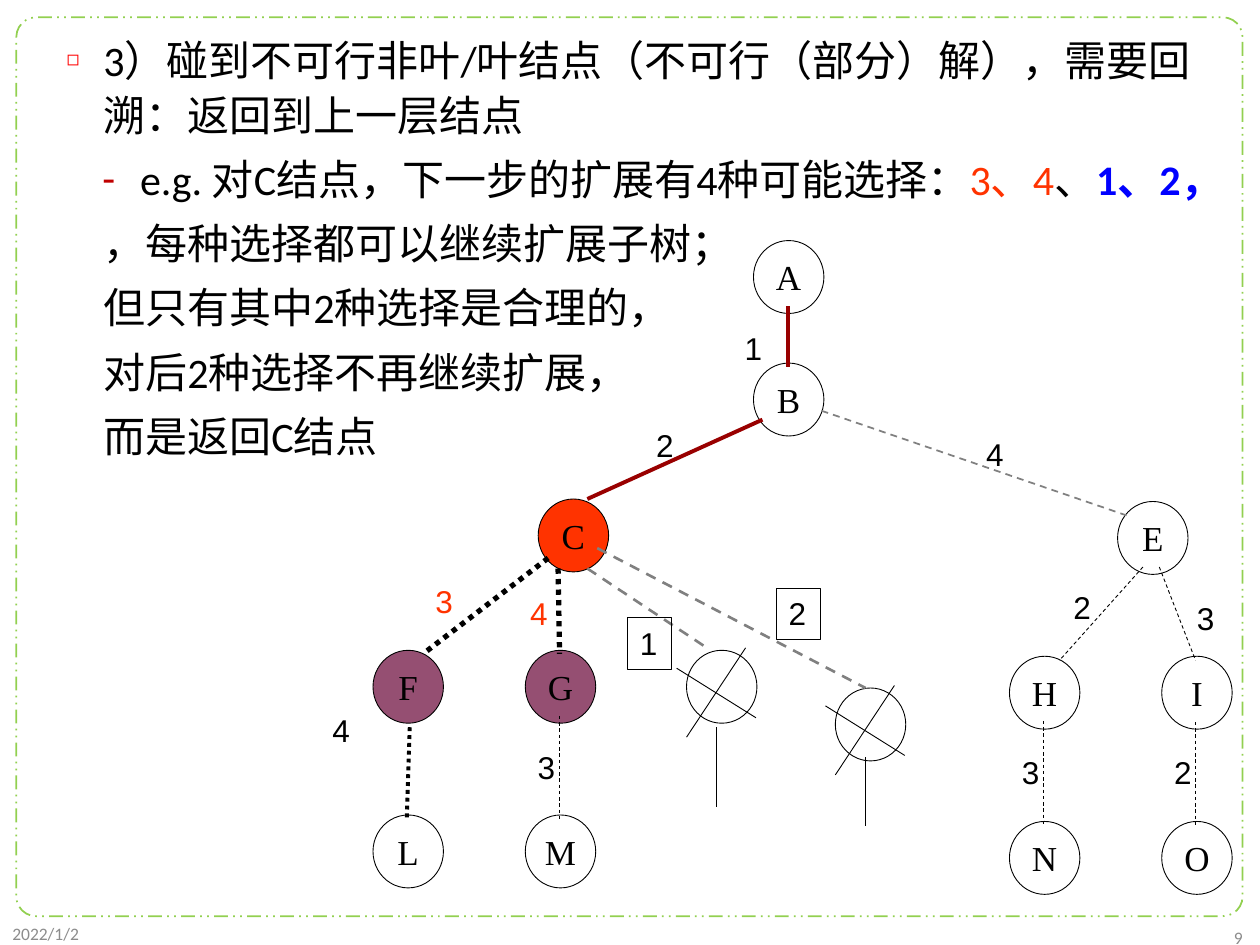
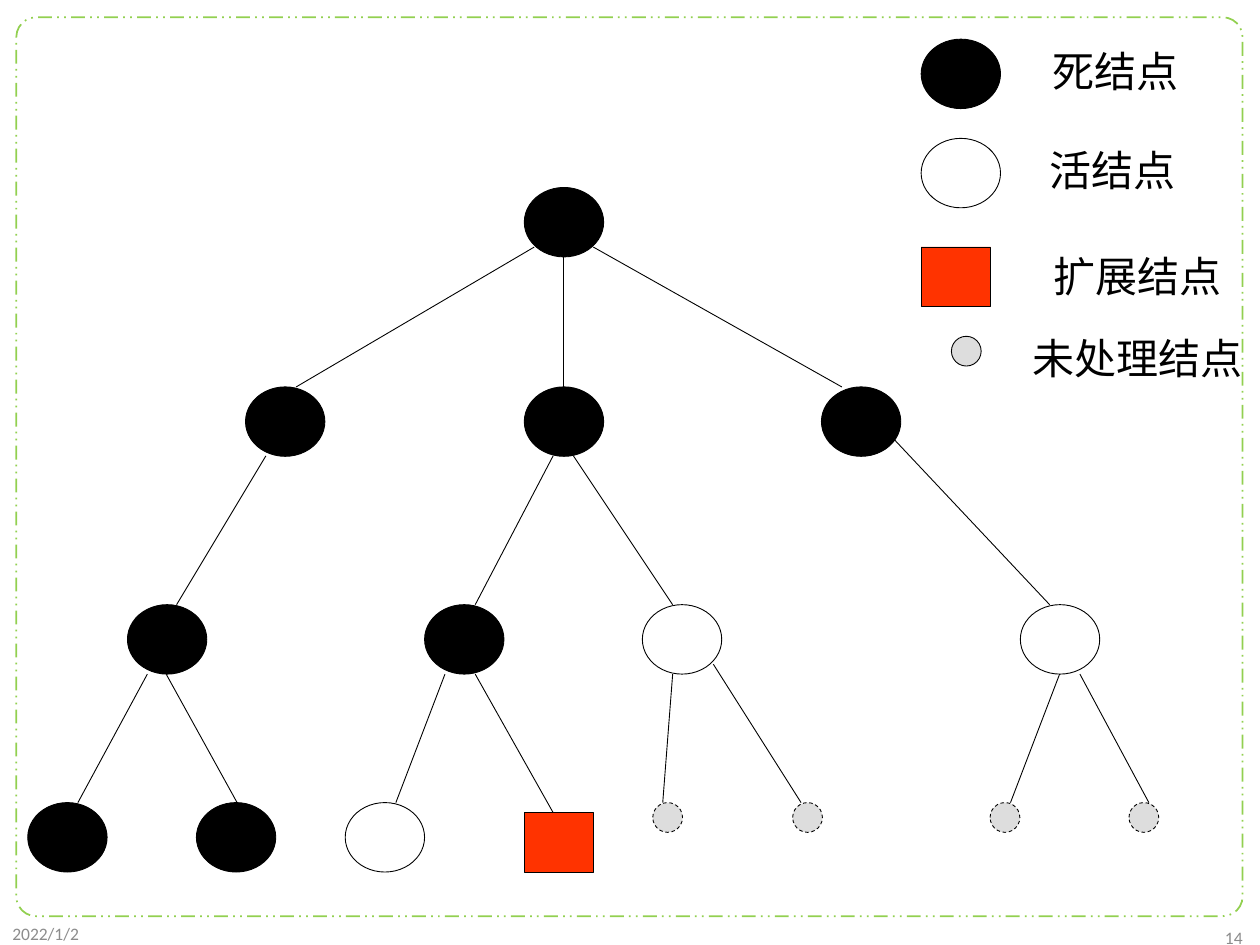
from dataclasses import dataclass

from lxml.etree import SubElement
from pptx import Presentation
from pptx.dml.color import RGBColor
from pptx.enum.dml import MSO_LINE
from pptx.enum.shapes import MSO_CONNECTOR, MSO_SHAPE
from pptx.enum.text import MSO_ANCHOR, MSO_AUTO_SIZE, PP_ALIGN
from pptx.oxml.ns import qn
from pptx.util import Cm, Pt


@dataclass(frozen=True)
class Theme:
    """Colours, fonts and type sizes shared by the slides."""
    ink: str = "000000"
    frame: str = "92D050"
    footer: str = "8C8C8C"
    square_bullet: str = "FF0000"
    dash_bullet: str = "C00000"
    accent: str = "FF3300"
    pruned_choice: str = "0000FF"
    trail: str = "990000"
    expanded: str = "954F72"
    idle: str = "808080"
    pending: str = "DDDDDD"
    body_font: str = "Calibri"
    label_font: str = "Arial"
    node_font: str = "Times New Roman"
    cjk_font: str = "Noto Sans CJK SC"
    body_size: float = 24
    node_size: float = 20
    label_size: float = 18
    footer_size: float = 10
    hairline: float = 0.5


@dataclass(frozen=True)
class Box:
    """A rectangle in centimetres."""
    left: float
    top: float
    width: float
    height: float

    def inside(self, left, top, width=0, height=0):
        """Return a box whose place is given relative to this one."""
        return Box(self.left + left, self.top + top, width, height)

    def lengths(self):
        """Return the four sides as lengths."""
        return [Cm(value) for value in (self.left, self.top, self.width, self.height)]


THEME = Theme()
SOLID, DASH, DOT = None, MSO_LINE.DASH, MSO_LINE.ROUND_DOT
DATE = "2022/1/2"


def add_span(para, text, font=THEME.body_font, size=THEME.body_size,
             color=THEME.ink, bold=False):
    """Add a formatted run to a paragraph."""
    span = para.add_run()
    span.text = text
    span.font.name = font
    span.font.size = Pt(size)
    span.font.bold = bold
    span.font.color.rgb = RGBColor.from_string(color)
    properties = span._r.get_or_add_rPr()
    properties.set("lang", "zh-CN")
    SubElement(properties, qn("a:ea"), typeface=font)


def add_text(page, box, text, anchor=MSO_ANCHOR.TOP, align=PP_ALIGN.LEFT,
             wrap=False, **style):
    """Add a text box holding one formatted paragraph."""
    frame = page.shapes.add_textbox(*box.lengths()).text_frame
    frame.word_wrap = wrap
    frame.vertical_anchor = anchor
    frame.paragraphs[0].alignment = align
    add_span(frame.paragraphs[0], text, **style)


def set_line(line, color=THEME.ink, width=THEME.hairline, dash=SOLID):
    """Format an outline or connector line."""
    line.color.rgb = RGBColor.from_string(color)
    line.width = Pt(width)
    if dash:
        line.dash_style = dash


def add_shape(page, box, kind, fill=None, **line):
    """Add a preset shape with an optional fill."""
    shape = page.shapes.add_shape(kind, *box.lengths())
    shape.shadow.inherit = False
    if fill:
        shape.fill.solid()
        shape.fill.fore_color.rgb = RGBColor.from_string(fill)
    else:
        shape.fill.background()
    set_line(shape.line, **line)
    return shape


def add_edge(page, box, start, end, **line):
    """Draw a straight line between two points of a box."""
    first, last = box.inside(*start), box.inside(*end)
    edge = page.shapes.add_connector(
        MSO_CONNECTOR.STRAIGHT, Cm(first.left), Cm(first.top), Cm(last.left), Cm(last.top))
    set_line(edge.line, **line)
    SubElement(edge._element.spPr, qn("a:effectLst"))


def add_page(deck, layout, number):
    """Add a slide with the shared frame, date and number."""
    page = deck.slides.add_slide(deck.slide_layouts[layout])
    frame = add_shape(page, Box(0.33, 0.35, 24.72, 18.12), MSO_SHAPE.ROUNDED_RECTANGLE,
                      color=THEME.frame, width=1, dash=MSO_LINE.DASH_DOT_DOT)
    frame.adjustments[0] = 0.022
    style = dict(size=THEME.footer_size, color=THEME.footer,
                 anchor=MSO_ANCHOR.MIDDLE, wrap=True)
    add_text(page, Box(0, 18.44, 5.72, 0.74), DATE, **style)
    add_text(page, Box(19.58, 18.57, 5.72, 0.66), number, align=PP_ALIGN.RIGHT, **style)
    return page


def set_bullet(para, left, hanging=0, symbol=None, color=None, percent=100):
    """Set the indent and the bullet of a paragraph."""
    properties = para._p.get_or_add_pPr()
    properties.set("marL", str(Cm(left)))
    properties.set("indent", str(Cm(-hanging)))
    if symbol is None:
        SubElement(properties, qn("a:buNone"))
        return
    SubElement(SubElement(properties, qn("a:buClr")), qn("a:srgbClr"), val=color)
    SubElement(properties, qn("a:buSzPct"), val=str(percent * 1000))
    SubElement(properties, qn("a:buFont"), typeface=THEME.body_font)
    SubElement(properties, qn("a:buChar"), char=symbol)


def fill_body(page, box):
    """Write the backtracking explanation into the body placeholder."""
    title = page.shapes.title.element
    title.getparent().remove(title)
    body = page.placeholders[1]
    body.left, body.top, body.width, body.height = box.lengths()
    frame = body.text_frame
    frame.auto_size = MSO_AUTO_SIZE.NONE
    frame.vertical_anchor = MSO_ANCHOR.TOP
    square = dict(left=1.5, hanging=0.74, symbol="◻", color=THEME.square_bullet, percent=50)
    dash = dict(left=2.24, hanging=0.76, symbol="-", color=THEME.dash_bullet)
    plain = dict(left=1.5)
    content = [
        (1, square, [("3）碰到不可行非叶/叶结点（不可行（部分）解），需要回溯：返回到上一层结点", {})]),
        (2, dash, [("e.g. 对C结点，下一步的扩展有4种可能选择：", {}),
                   ("3、4", dict(color=THEME.accent)),
                   ("、", {}),
                   ("1、2，", dict(color=THEME.pruned_choice, bold=True))]),
        (2, plain, [("，每种选择都可以继续扩展子树；", {})]),
        (2, plain, [("但只有其中2种选择是合理的，", {})]),
        (2, plain, [("对后2种选择不再继续扩展，", {})]),
        (2, plain, [("而是返回C结点", {})]),
    ]
    for index, (level, bullet, spans) in enumerate(content):
        para = frame.add_paragraph() if index else frame.paragraphs[0]
        para.level = level
        para.alignment = PP_ALIGN.LEFT
        para.line_spacing = 1.1
        para.space_before = Pt(5 if index else 0)
        set_bullet(para, **bullet)
        for text, style in spans:
            add_span(para, text, **style)


def add_letter_node(page, box, letter, left, top, fill=None):
    """Add a circular tree node with its letter."""
    node = add_shape(page, box.inside(left, top, 1.42, 1.47), MSO_SHAPE.OVAL, fill)
    frame = node.text_frame
    frame.margin_left = frame.margin_right = frame.margin_top = frame.margin_bottom = 0
    frame.word_wrap = False
    frame.vertical_anchor = MSO_ANCHOR.MIDDLE
    frame.paragraphs[0].alignment = PP_ALIGN.CENTER
    if letter:
        add_span(frame.paragraphs[0], letter, font=THEME.node_font, size=THEME.node_size)


def add_pruned_node(page, box, left, top, stem_top, stem_bottom):
    """Add a crossed-out node with a stem below it."""
    add_letter_node(page, box, "", left, top)
    node = box.inside(left, top)
    add_edge(page, node, (-0.2, 0.36), (1.4, 1.36))
    add_edge(page, node, (1.19, -0.05), (0, 1.75))
    add_edge(page, node, (0.61, stem_top), (0.61, stem_bottom))


def draw_search_tree(page, box):
    """Draw the lettered search tree with its numbered choices."""
    nodes = [
        ("A", 9.19, 0.85), ("B", 9.19, 3.32), ("C", 4.85, 6.06, THEME.accent),
        ("E", 16.53, 6.11), ("F", 1.52, 9.11, THEME.expanded),
        ("G", 4.59, 9.11, THEME.expanded), ("H", 14.35, 9.23), ("I", 17.42, 9.23),
        ("L", 1.52, 12.43), ("M", 4.59, 12.43), ("N", 14.35, 12.56), ("O", 17.42, 12.56),
    ]
    for node in nodes:
        add_letter_node(page, box, *node)
    add_pruned_node(page, box, 7.84, 9.11, 1.55, 3.15)
    add_pruned_node(page, box, 10.84, 9.87, 1.4, 2.79)

    trail = dict(color=THEME.trail, width=2.25)
    choice = dict(width=3, dash=DOT)
    pruned = dict(color=THEME.idle, width=1.5, dash=DASH)
    thin = dict(dash=DASH)
    edges = [
        ((9.88, 2.17), (9.88, 3.39), trail),
        ((9.37, 4.46), (5.84, 6.06), trail),
        ((10.56, 4.28), (16.71, 6.39), dict(color=THEME.idle, width=1, dash=DASH)),
        ((5.05, 7.25), (2.53, 9.18), choice),
        ((5.25, 7.46), (5.28, 9.18), choice),
        ((2.26, 10.66), (2.2, 12.54), dict(width=2.25, dash=DOT)),
        ((5.84, 7.46), (8.25, 9.06), pruned),
        ((6.04, 7.05), (11.45, 9.87), pruned),
        ((5.28, 10.43), (5.28, 12.54), thin),
        ((17.04, 7.43), (15.36, 9.31), thin),
        ((17.37, 7.43), (18.1, 9.31), thin),
        ((15.03, 10.53), (15.03, 12.64), thin),
        ((18.1, 10.55), (18.1, 12.66), thin),
    ]
    for start, end, line in edges:
        add_edge(page, box, start, end, **line)

    labels = [
        ("1", 8.76, 2.5), ("2", 6.98, 4.46), ("4", 13.63, 4.64),
        ("3", 2.53, 7.61, THEME.accent), ("4", 4.44, 7.86, THEME.accent),
        ("2", 15.39, 7.73), ("3", 17.88, 7.96), ("4", 0.45, 10.2),
        ("3", 4.59, 10.96), ("3", 14.35, 11.06), ("2", 17.42, 11.06),
        ("1", 6.65, 8.45), ("2", 9.65, 7.86),
    ]
    for text, left, top, *color in labels:
        add_text(page, box.inside(left, top, 0.86, 1.02), text, font=THEME.label_font,
                 size=THEME.label_size, color=color[0] if color else THEME.ink)
    for _, left, top in labels[-2:]:
        add_shape(page, box.inside(left, top, 0.89, 1.04), MSO_SHAPE.RECTANGLE)


def add_state_node(page, box, state, left, top, dash=SOLID):
    """Add a node drawn in the style of its state."""
    kind, width, height, fill = {
        "dead": (MSO_SHAPE.OVAL, 1.6, 1.4, THEME.ink),
        "live": (MSO_SHAPE.OVAL, 1.6, 1.4, None),
        "expanding": (MSO_SHAPE.RECTANGLE, 1.4, 1.2, THEME.accent),
        "pending": (MSO_SHAPE.OVAL, 0.6, 0.6, THEME.pending),
    }[state]
    add_shape(page, box.inside(left, top, width, height), kind, fill, dash=dash)


def draw_state_tree(page, box):
    """Draw the tree of node states level by level."""
    levels = [
        (0.78, {"dead": [10.07]}),
        (4.8, {"dead": [4.45, 10.07, 16.06]}),
        (9.19, {"dead": [2.07, 8.06], "live": [12.45, 20.07]}),
        (13.18, {"dead": [0.06, 3.46], "live": [6.46],
                 "pending": [12.66, 15.48, 19.46, 22.26]}),
        (13.38, {"expanding": [10.07]}),
    ]
    for top, states in levels:
        for state, lefts in states.items():
            for left in lefts:
                add_state_node(page, box, state, left, top,
                               dash=DASH if state == "pending" else SOLID)
    edges = [
        (10.27, 1.98, 5.47, 4.8), (10.86, 2.18, 10.86, 4.8), (11.46, 1.98, 16.47, 4.8),
        (4.86, 6.19, 3.06, 9.19), (10.65, 6.19, 9.08, 9.19),
        (11.06, 6.19, 13.06, 9.19), (17.46, 5.79, 20.66, 9.19),
        (2.47, 10.59, 1.07, 13.18), (2.85, 10.59, 4.28, 13.18),
        (8.47, 10.59, 7.48, 13.18), (9.08, 10.59, 10.65, 13.38),
        (13.06, 10.59, 12.86, 13.18), (13.88, 10.39, 15.65, 13.18),
        (20.86, 10.59, 19.87, 13.18), (21.27, 10.59, 22.66, 13.18),
    ]
    for left, top, right, bottom in edges:
        add_edge(page, box, (left, top), (right, bottom))


def draw_legend(page, box):
    """List the node states with their symbols."""
    entries = [
        ("dead", 0.57, 0.29, "死结点", 2.96, 0.29, 3.05, THEME.cjk_font),
        ("live", 0.57, 2.29, "活结点", 2.9, 2.29, 3.05, THEME.body_font),
        ("expanding", 0.57, 4.48, "扩展结点", 2.98, 4.43, 3.89, THEME.body_font),
        ("pending", 1.18, 6.28, "未处理结点", 2.57, 6.08, 4.75, THEME.body_font),
    ]
    for state, left, top, text, text_left, text_top, width, font in entries:
        add_state_node(page, box, state, left, top)
        add_text(page, box.inside(text_left, text_top, width, 1.27), text, font=font)


def main():
    """Build and save the deck."""
    deck = Presentation()
    deck.slide_width, deck.slide_height = Cm(25.4), Cm(19.05)
    page = add_page(deck, 1, "9")
    fill_body(page, Box(0.33, 0.46, 24.72, 17.98))
    draw_search_tree(page, Box(6, 4, 19, 14))
    page = add_page(deck, 6, "14")
    draw_state_tree(page, Box(0.5, 3, 23, 14.6))
    draw_legend(page, Box(18, 0.5, 7.3, 7.4))
    deck.save("out.pptx")


if __name__ == "__main__":
    main()
